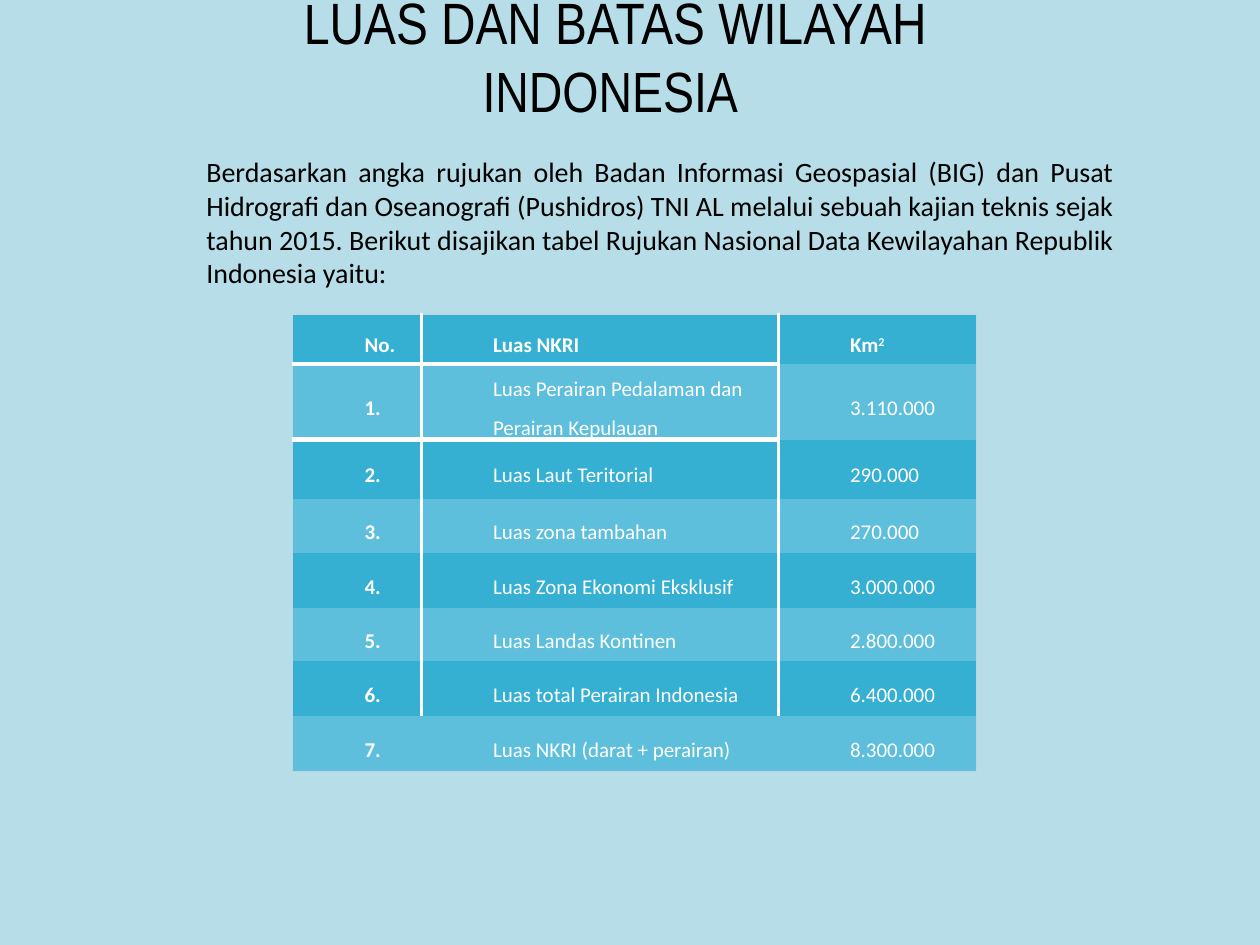
"""Build a slide with the table of Indonesia's area and borders."""
import pptx
import pptx.dml.color
import pptx.enum.text
import pptx.oxml
import pptx.oxml.ns
import pptx.util

Pt = pptx.util.Pt
Align = pptx.enum.text.PP_ALIGN
Anchor = pptx.enum.text.MSO_ANCHOR
PLAIN = "{2D5ABB26-0587-4C30-8999-92F81FD0307C}"


def paint(color, tone):
    color.rgb = pptx.dml.color.RGBColor.from_string(tone)


def write(para, text, size=12, font="Calibri", tone="FFFFFF", bold=False, base=0):
    run = para.add_run()
    run.text = text
    run.font.size = Pt(size)
    run.font.name = font
    run.font.bold = bold
    paint(run.font.color, tone)
    if base:
        run.font._element.set("baseline", str(base * 1000))


deck = pptx.Presentation()
deck.slide_width, deck.slide_height = Pt(720), Pt(540)
slide = deck.slides.add_slide(deck.slide_layouts[6])
back = slide.background.fill
back.solid()
paint(back.fore_color, "B7DEE8")

title = slide.shapes.add_textbox(Pt(139), Pt(-2), Pt(425.5), Pt(67)).text_frame
title.word_wrap = True
title.vertical_anchor = Anchor.MIDDLE
head = title.paragraphs[0]
head.alignment = Align.CENTER
for text, size in [("L", 32.4), ("UAS DAN BATAS WILAYAH ", 33.3), ("INDONESIA ", 32.4)]:
    write(head, text, size=size, font="Arial Narrow", tone="000000")

intro = slide.shapes.add_textbox(Pt(110.9), Pt(85), Pt(532.8), Pt(85)).text_frame
intro.word_wrap = True
intro.paragraphs[0].alignment = Align.JUSTIFY
write(
    intro.paragraphs[0],
    "Berdasarkan angka rujukan oleh Badan Informasi Geospasial (BIG) dan Pusat "
    "Hidrografi dan Oseanografi (Pushidros) TNI AL melalui sebuah kajian teknis "
    "sejak tahun 2015. Berikut disajikan tabel Rujukan Nasional Data Kewilayahan "
    "Republik Indonesia yaitu:",
    size=16,
    tone="000000",
)

areas = [
    ("No.", "Luas NKRI", "Km"),
    ("1.", "Luas Perairan Pedalaman dan Perairan Kepulauan", "3.110.000"),
    ("2.", "Luas Laut Teritorial", "290.000"),
    ("3.", "Luas zona tambahan", "270.000"),
    ("4.", "Luas Zona Ekonomi Eksklusif", "3.000.000"),
    ("5.", "Luas Landas Kontinen", "2.800.000"),
    ("6.", "Luas total Perairan Indonesia", "6.400.000"),
    ("7.", "Luas NKRI (darat + perairan)", "8.300.000"),
]
widths = [73.5, 204, 113.4]
heights = [28.6, 31.4, 33.7, 31.4, 31.4, 30.3, 31.4, 31.4]
last = len(areas) - 1
frame = slide.shapes.add_table(
    len(areas), len(widths), Pt(167.3), Pt(179.4), Pt(sum(widths)), Pt(sum(heights))
)
table = frame.table
table._tbl.tblPr.find(pptx.oxml.ns.qn("a:tableStyleId")).text = PLAIN
for col, width in zip(table.columns, widths):
    col.width = Pt(width)
for row, height in zip(table.rows, heights):
    row.height = Pt(height)

edge, rule, bar = ("BCD7E1", 0.75), ("FFFFFF", 2), ("FFFFFF", 3)
for r, area in enumerate(areas):
    for c, text in enumerate(area):
        cell = table.cell(r, c)
        cell.vertical_anchor = Anchor.MIDDLE
        cell.margin_left = cell.margin_right = Pt(5)
        cell.margin_top = cell.margin_bottom = 0
        para = cell.text_frame.paragraphs[0]
        para.line_spacing = 1.5
        para._p.get_or_add_pPr().set("marL", str(Pt(36)))
        write(para, text, bold=r == 0 or c == 0)
        if text == "Km":
            write(para, "2", bold=True, base=30)

        lines = {}
        if c == 0:
            lines["L"] = edge
            if r < last:
                lines["R"] = rule
        if c == 1 and r < last:
            lines["L"] = rule
        if c == 2:
            lines["R"] = edge
        if r == 0:
            lines["T"] = edge
        if c < 2 and r == 1:
            lines["T"] = bar
        if c < 2 and r == 0:
            lines["B"] = bar
        if r == last:
            lines["B"] = edge
        props = cell._tc.get_or_add_tcPr()
        for side in "LRTB":
            if side in lines:
                tone, width = lines[side]
                props.append(pptx.oxml.parse_xml(
                    f'<a:ln{side} {pptx.oxml.ns.nsdecls("a")} w="{Pt(width)}">'
                    f'<a:solidFill><a:srgbClr val="{tone}"/></a:solidFill></a:ln{side}>'
                ))
        cell.fill.solid()
        paint(cell.fill.fore_color, "5DBFDB" if r % 2 else "35AFD2")

deck.save("out.pptx")
